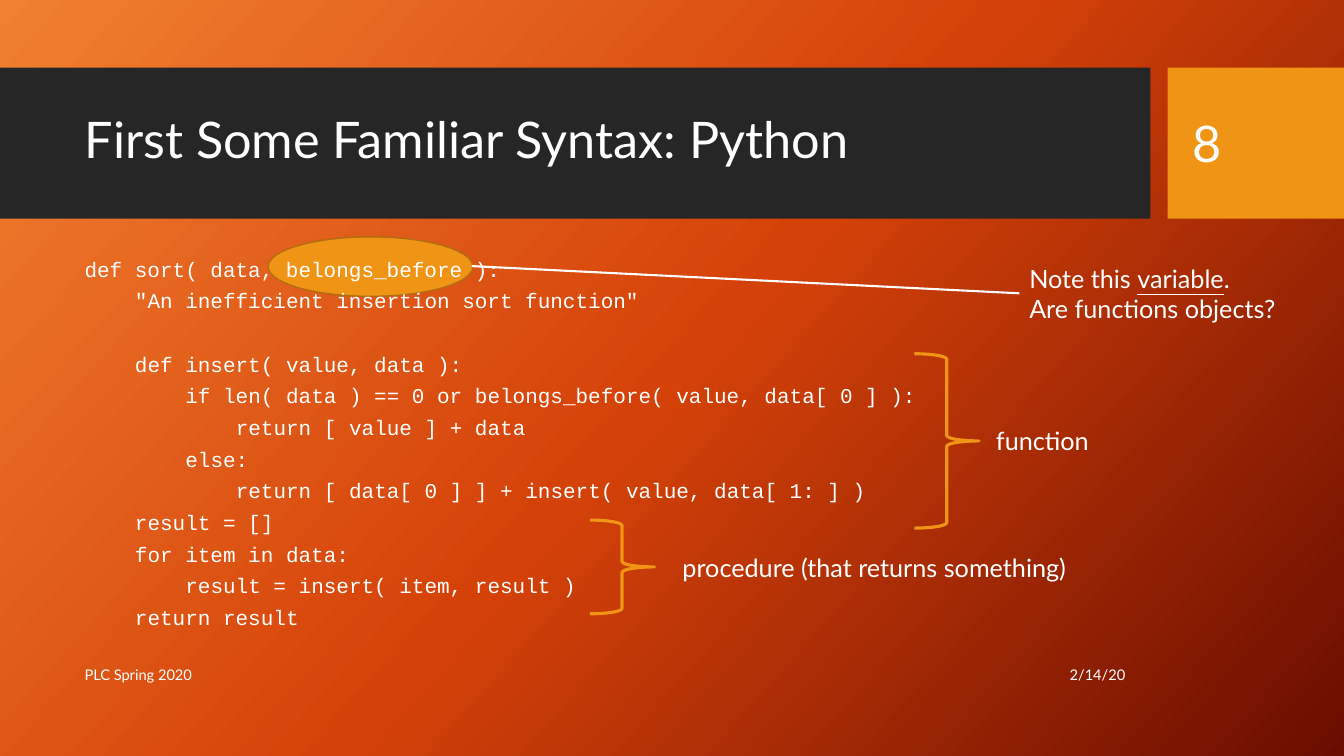
from copy import deepcopy
from dataclasses import dataclass
from pptx import Presentation
from pptx.dml.color import RGBColor
from pptx.enum.shapes import MSO_CONNECTOR, MSO_SHAPE
from pptx.enum.text import MSO_ANCHOR, MSO_AUTO_SIZE, PP_ALIGN
from pptx.oxml.ns import qn
from pptx.util import Inches, Pt

RECT = MSO_SHAPE.RECTANGLE
OVAL = MSO_SHAPE.OVAL
BRACE = MSO_SHAPE.RIGHT_BRACE
LINE = MSO_CONNECTOR.STRAIGHT
TOP = MSO_ANCHOR.TOP
MIDDLE = MSO_ANCHOR.MIDDLE
LEFT = PP_ALIGN.LEFT
RIGHT = PP_ALIGN.RIGHT
FIXED = MSO_AUTO_SIZE.NONE


@dataclass(frozen=True)
class Theme:
    white: str = "FFFFFF"
    dark: str = "262626"
    amber: str = "F09415"
    rim: str = "B26D10"
    glow: tuple = ((0, "F18031"), (0.5, "D54209"), (1, "6A0D00"))
    sans: str = "Lato"
    mono: str = "Courier New"
    head: float = 36
    note: float = 18
    code: float = 15
    foot: float = 10.5


THEME = Theme()
TAB = 0.5
GAP = 10
PITCH = 22.65

CODE = [
    (0, "def sort( data, belongs_before ):"),
    (1, '"An inefficient insertion sort function"'),
    (1, "def insert( value, data ):"),
    (2, "if len( data ) == 0 or belongs_before( value, data[ 0 ] ):"),
    (3, "return [ value ] + data"),
    (2, "else:"),
    (3, "return [ data[ 0 ] ] + insert( value, data[ 1: ] )"),
    (1, "result = []"),
    (1, "for item in data:"),
    (2, "result = insert( item, result )"),
    (1, "return result"),
]
BREAK = 2


def color(code):
    return RGBColor.from_string(code)


def place(shape, box):
    shape.left, shape.top, shape.width, shape.height = map(Inches, box)


def write(para, text, size=THEME.note, font=THEME.sans, align=LEFT,
          under=None, space=None, before=None):
    para.alignment = align
    para.line_spacing = space
    if before is not None:
        para.space_before = Pt(before)
    run = para.add_run()
    run.text = text
    run.font.size = Pt(size)
    run.font.name = font
    run.font.underline = under
    run.font.color.rgb = color(THEME.white)


def setup(frame, anchor=TOP, wrap=True):
    frame.word_wrap = wrap
    frame.auto_size = FIXED
    frame.vertical_anchor = anchor
    return frame.paragraphs[0]


def label(slide, box, text, anchor=TOP, wrap=False, **style):
    frame = slide.shapes.add_textbox(*map(Inches, box)).text_frame
    write(setup(frame, anchor, wrap), text, **style)
    return frame


def draw(slide, kind, box, fill=None, line=None, width=1):
    shape = slide.shapes.add_shape(kind, *map(Inches, box))
    shape.shadow.inherit = False
    if fill:
        shape.fill.solid()
        shape.fill.fore_color.rgb = color(fill)
    else:
        shape.fill.background()
    if line:
        shape.line.color.rgb = color(line)
        shape.line.width = Pt(width)
    else:
        shape.line.fill.background()


def link(slide, start, end):
    wire = slide.shapes.add_connector(LINE, *map(Inches, start + end))
    wire.line.color.rgb = color(THEME.white)
    wire.line.width = Pt(1.5)
    props = wire._element.spPr
    props.append(props.makeelement(qn("a:effectLst"), {}))


def backdrop(slide):
    fill = slide.background.fill
    fill.gradient()
    fill.gradient_angle = 318
    stops = slide._element.find(".//" + qn("a:gsLst"))
    stops.append(deepcopy(stops[-1]))
    for stop, (spot, shade) in zip(fill.gradient_stops, THEME.glow):
        stop.position = spot
        stop.color.rgb = color(shade)


def heading(slide, box, text):
    title = slide.shapes.title
    place(title, box)
    slide.shapes._spTree.append(title._element)
    write(setup(title.text_frame, MIDDLE), text, size=THEME.head, space=0.9)


def listing(slide, box):
    frame = slide.shapes.add_textbox(*map(Inches, box)).text_frame
    para = setup(frame)
    for row, (depth, text) in enumerate(CODE):
        if row:
            para = frame.add_paragraph()
        before = GAP + PITCH if row == BREAK else GAP
        write(para, text, size=THEME.code, font=THEME.mono,
              space=0.7, before=before)
        props = para._p.get_or_add_pPr()
        props.set("marL", str(Inches(TAB * depth)))
        props.set("indent", "0")


def main():
    deck = Presentation()
    deck.slide_width, deck.slide_height = Inches(13.33), Inches(7.5)
    slide = deck.slides.add_slide(deck.slide_layouts[5])
    backdrop(slide)

    draw(slide, RECT, (0, 0.67, 11.41, 1.5), fill=THEME.dark)
    draw(slide, RECT, (11.58, 0.67, 1.75, 1.5), fill=THEME.amber)
    draw(slide, OVAL, (2.66, 2.35, 2.03, 0.59), THEME.amber, THEME.rim)
    heading(slide, (0.74, 0.82, 10.51, 1.18),
            "First Some Familiar Syntax: Python")
    listing(slide, (0.74, 2.56, 10.51, 3.94))

    label(slide, (8.26, 6.49, 3, 0.4), "2/14/20", MIDDLE, True,
          size=THEME.foot, align=RIGHT)
    label(slide, (0.74, 6.49, 7.51, 0.4), "PLC Spring 2020", MIDDLE, True,
          size=THEME.foot)
    label(slide, (11.73, 0.82, 1.26, 1.19), "8", MIDDLE, True,
          size=THEME.head)

    note = label(slide, (10.11, 2.56, 2.71, 0.71), "Note this ")
    write(note.paragraphs[0], "variable", under=True)
    write(note.paragraphs[0], ".")
    write(note.add_paragraph(), "Are functions objects?")
    link(slide, (4.68, 2.64), (10.11, 2.91))

    for box in ((9.07, 3.51, 0.64, 1.73), (5.85, 5.16, 0.64, 0.93)):
        draw(slide, BRACE, box, line=THEME.amber, width=2.25)
    label(slide, (6.67, 5.43, 4.21, 0.4), "procedure (that returns something)")
    label(slide, (9.78, 4.17, 1.14, 0.4), "function")

    deck.save("out.pptx")


main()
